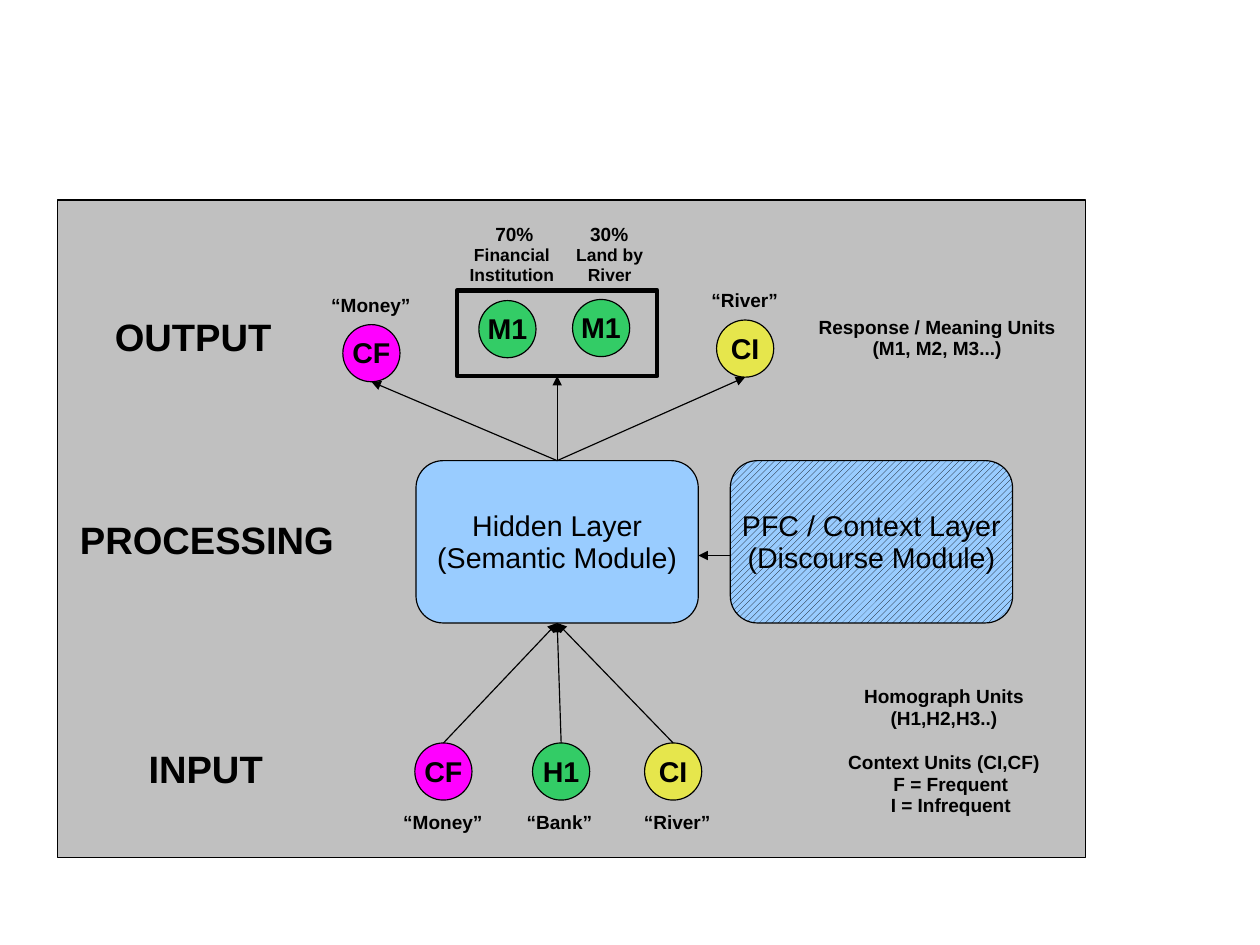
from lxml.etree import SubElement
from pptx import Presentation
from pptx.dml.color import RGBColor
from pptx.enum.dml import MSO_PATTERN
from pptx.enum.shapes import MSO_CONNECTOR, MSO_SHAPE
from pptx.enum.text import MSO_ANCHOR, MSO_AUTO_SIZE, PP_ALIGN
from pptx.oxml.ns import qn
from pptx.util import Emu, Inches, Pt

BLACK = RGBColor(0x00, 0x00, 0x00)
GRAY = RGBColor(0xC0, 0xC0, 0xC0)
MAGENTA = RGBColor(0xFF, 0x00, 0xFF)
GREEN = RGBColor(0x33, 0xCC, 0x66)
YELLOW = RGBColor(0xE6, 0xE6, 0x4C)
BLUE = RGBColor(0x99, 0xCC, 0xFF)

# A 28 by 21 cm page, rounded to whole 1/576 inch units
PAGE_WIDTH, PAGE_HEIGHT = Emu(10080625), Emu(7559675)
THIN, THICK = 0.74, 2.89
UNIT = 0.5
LAYER_TOP, LAYER_WIDTH, LAYER_HEIGHT = 4.03, 2.47, 1.42

# Content: boxes are (left, top, width, height) in inches
PANEL = (0.5, 1.75, 9, 5.75)
MEANING_FRAME = (4, 2.54, 1.75, 0.75)

# Units: text, fill, left, top
OUTPUT_UNITS = [("CF", MAGENTA, 3, 2.84), ("CI", YELLOW, 6.27, 2.8)]
MEANING_UNITS = [("M1", GREEN, 4.19, 2.63), ("M1", GREEN, 5.01, 2.62)]
INPUT_UNITS = [("CF", MAGENTA, 3.63, 6.5), ("H1", GREEN, 4.66, 6.5),
               ("CI", YELLOW, 5.64, 6.5)]

# Layers: lines, left, hatched
LAYERS = [(["Hidden Layer", "(Semantic Module)"], 3.64, False),
          (["PFC / Context Layer", "(Discourse Module)"], 6.39, True)]

# Labels: lines, size, box
LABELS = [
    (["70%"], 12, (4.24, 1.87, 0.52, 0.37)),
    (["30%"], 12, (5.07, 1.87, 0.52, 0.37)),
    (["Financial Institution"], 11, (4, 2.19, 0.96, 0.26)),
    (["Land by River"], 11, (4.96, 2.19, 0.75, 0.26)),
    (["“Money”"], 12, (2.87, 2.54, 0.75, 0.26)),
    (["“River”"], 12, (6.14, 2.5, 0.75, 0.26)),
    (["“Money”"], 12, (3.5, 7.07, 0.75, 0.26)),
    (["“Bank”"], 12, (4.52, 7.07, 0.75, 0.26)),
    (["“River”"], 12, (5.55, 7.07, 0.75, 0.26)),
    (["Response / Meaning Units", "(M1, M2, M3...)"], 12,
     (6.96, 2.77, 2.48, 0.37)),
    (["Homograph Units (H1,H2,H3..)"], 12, (7.28, 6, 1.96, 0.38)),
    (["INPUT"], 24, (0.82, 6.55, 1.96, 0.38)),
    (["PROCESSING"], 24, (0.62, 4.54, 2.38, 0.38)),
]
CONTEXT_KEY = (["Context Units (CI,CF)", "F = Frequent", "I = Infrequent"],
               12, (7.28, 6.58, 1.96, 0.56))
TITLE = (["OUTPUT"], 24, (0.5, 2.77, 2.38, 0.38))


def write(shape, lines, size, bold=True, wrap=True, margins=(0, 0.01, 0, 0)):
    frame = shape.text_frame
    frame.auto_size = MSO_AUTO_SIZE.NONE
    frame.word_wrap = wrap
    frame.vertical_anchor = MSO_ANCHOR.MIDDLE
    (frame.margin_left, frame.margin_top,
     frame.margin_right, frame.margin_bottom) = map(Inches, margins)
    for index, line in enumerate(lines):
        paragraph = frame.add_paragraph() if index else frame.paragraphs[0]
        paragraph.alignment = PP_ALIGN.CENTER
        paragraph.line_spacing = 0.93
        run = paragraph.add_run()
        run.text = line
        run.font.name = "Arial"
        run.font.size = Pt(size)
        run.font.bold = bold
        run.font.color.rgb = BLACK


def add_box(kind, box, fill=None, weight=THIN):
    shape = slide.shapes.add_shape(kind, *map(Inches, box))
    shape.shadow.inherit = False
    if fill is None:
        shape.fill.background()
    else:
        shape.fill.solid()
        shape.fill.fore_color.rgb = fill
    shape.line.color.rgb = BLACK
    shape.line.width = Pt(weight)
    return shape


def add_unit(text, fill, left, top):
    unit = add_box(MSO_SHAPE.OVAL, (left, top, UNIT, UNIT), fill)
    write(unit, [text], 18, wrap=False, margins=(0.1, 0.07, 0.1, 0.05))


def add_layer(lines, left, hatched):
    layer = add_box(MSO_SHAPE.ROUNDED_RECTANGLE,
                    (left, LAYER_TOP, LAYER_WIDTH, LAYER_HEIGHT), BLUE)
    if hatched:
        layer.fill.patterned()
        layer.fill.pattern = MSO_PATTERN.WIDE_UPWARD_DIAGONAL
        layer.fill.fore_color.rgb = BLACK
        layer.fill.back_color.rgb = BLUE
    write(layer, lines, 18, bold=False, wrap=False,
          margins=(0.1, 0.07, 0.1, 0.05))


def add_label(lines, size, box):
    label = slide.shapes.add_textbox(*map(Inches, box))
    write(label, lines, size)
    return label


def add_arrow(start, end):
    arrow = slide.shapes.add_connector(
        MSO_CONNECTOR.STRAIGHT, *map(Inches, start + end))
    arrow.line.color.rgb = BLACK
    arrow.line.width = Pt(THIN)
    properties = arrow.element.spPr
    SubElement(properties.find(qn("a:ln")), qn("a:tailEnd"), type="triangle")
    SubElement(properties, qn("a:effectLst"))


presentation = Presentation()
presentation.slide_width = PAGE_WIDTH
presentation.slide_height = PAGE_HEIGHT
slide = presentation.slides.add_slide(presentation.slide_layouts[5])

# Background panel, kept behind the title
panel = add_box(MSO_SHAPE.RECTANGLE, PANEL, GRAY)
title = slide.shapes.title
panel.element.addnext(title.element)
title_lines, title_size, title_box = TITLE
title.left, title.top, title.width, title.height = map(Inches, title_box)
write(title, title_lines, title_size)

# Units and layers
for unit in OUTPUT_UNITS + MEANING_UNITS + INPUT_UNITS:
    add_unit(*unit)
add_box(MSO_SHAPE.RECTANGLE, MEANING_FRAME, weight=THICK)
for layer in LAYERS:
    add_layer(*layer)

# Arrows: inputs to hidden layer, hidden layer to outputs, context to hidden
hidden_left, context_left = LAYERS[0][1], LAYERS[1][1]
hidden_center = hidden_left + LAYER_WIDTH / 2
for _, _, left, top in INPUT_UNITS:
    add_arrow((left + UNIT / 2, top), (hidden_center, LAYER_TOP + LAYER_HEIGHT))
frame_left, frame_top, frame_width, frame_height = MEANING_FRAME
targets = [(left + UNIT / 2, top + UNIT) for _, _, left, top in OUTPUT_UNITS]
targets.append((frame_left + frame_width / 2, frame_top + frame_height))
for target in targets:
    add_arrow((hidden_center, LAYER_TOP), target)
add_arrow((context_left, 4.86), (hidden_left + LAYER_WIDTH, 4.86))

# Labels, with the key's lower lines indented
for label in LABELS:
    add_label(*label)
key = add_label(*CONTEXT_KEY)
for paragraph in key.text_frame.paragraphs[1:]:
    paragraph._p.get_or_add_pPr().set("marL", str(Inches(0.12)))

presentation.save("out.pptx")
